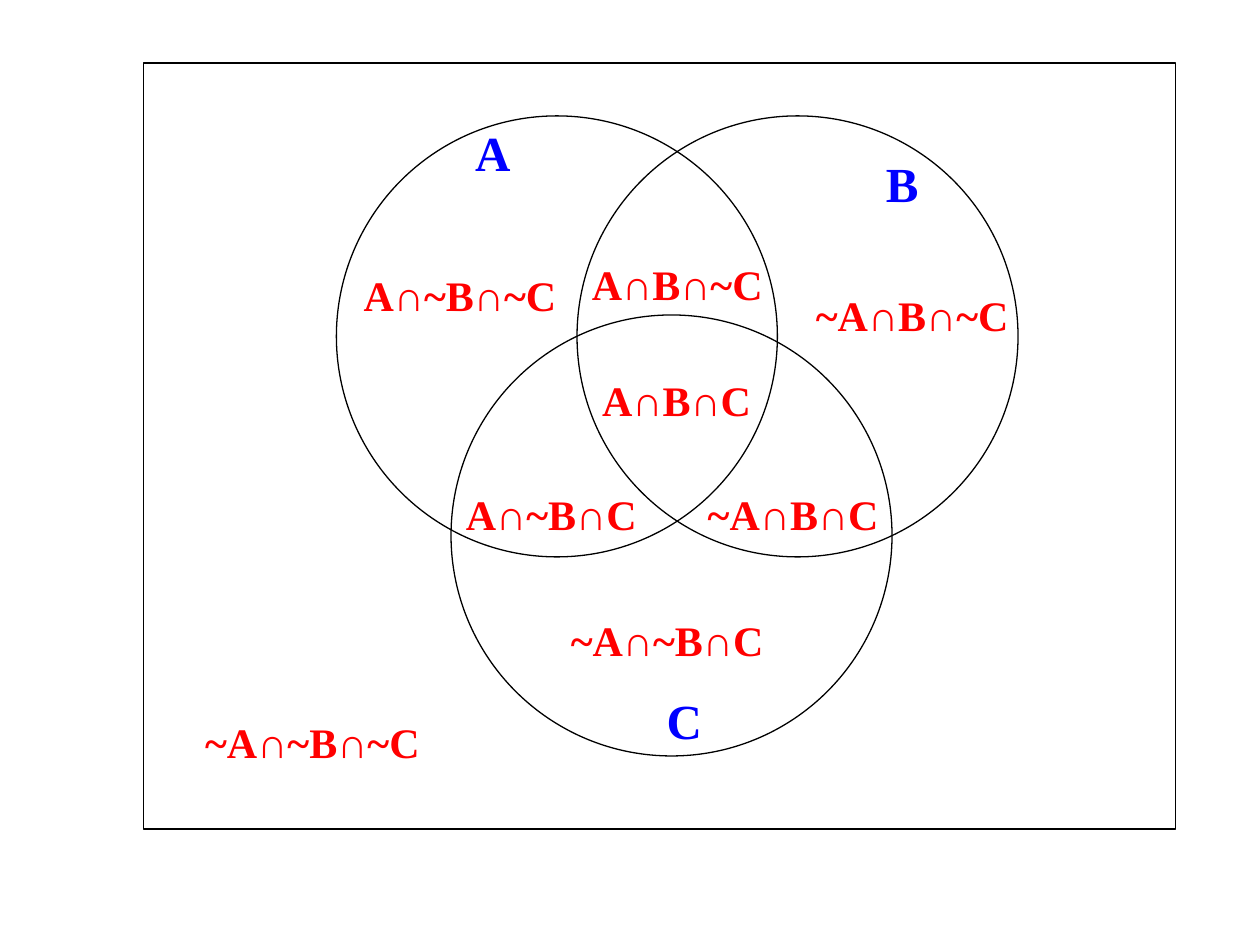
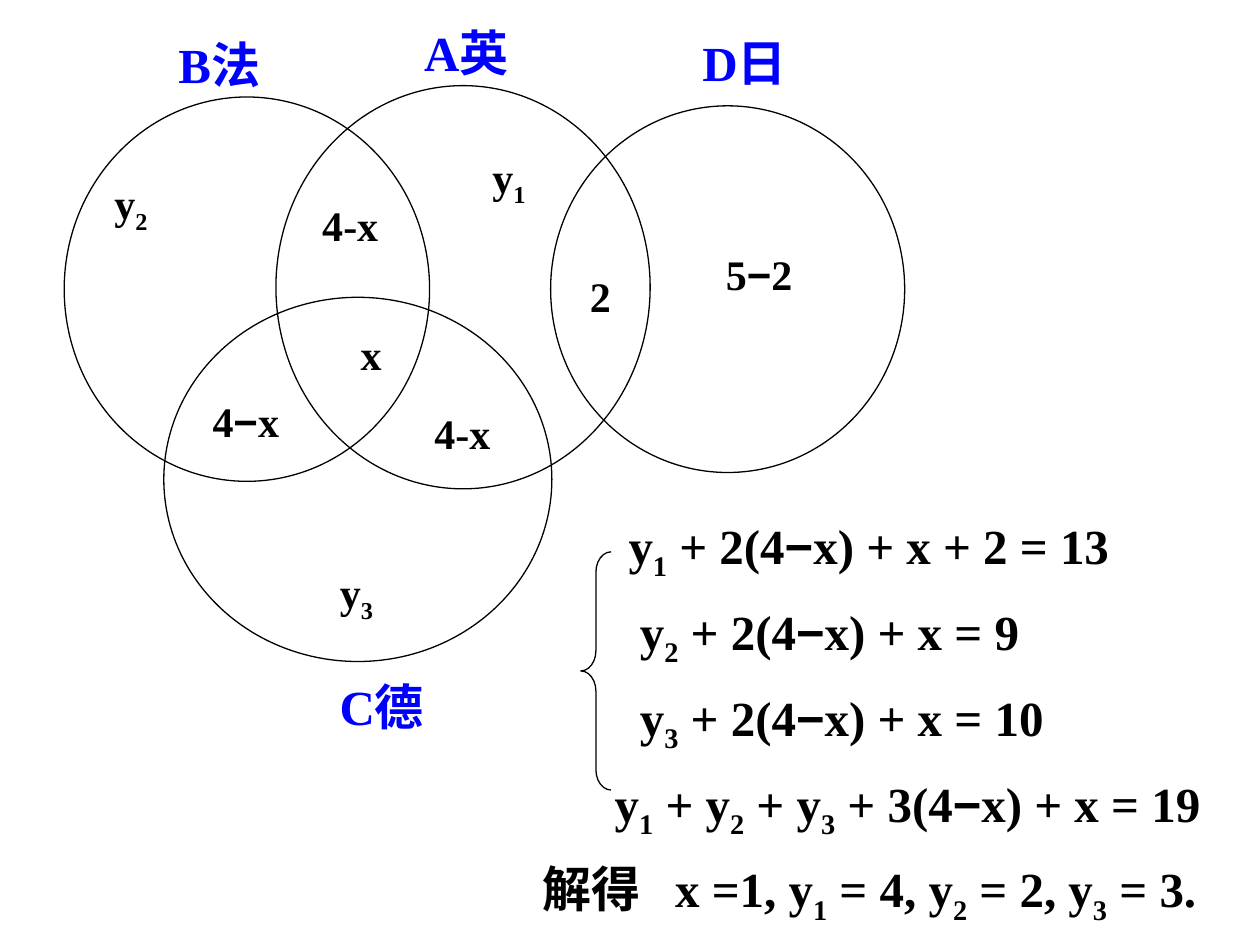
"""Build two Venn diagram slides: the regions of three sets, and a counting problem."""
from dataclasses import dataclass
from itertools import groupby

from lxml.etree import SubElement
from pptx import Presentation
from pptx.dml.color import RGBColor
from pptx.enum.shapes import MSO_SHAPE as Shape
from pptx.enum.text import MSO_ANCHOR as Anchor, MSO_AUTO_SIZE as AutoSize, PP_ALIGN as Align
from pptx.oxml.ns import qn
from pptx.util import Emu, Inches, Pt

BLACK = RGBColor(0x00, 0x00, 0x00)
BLUE = RGBColor(0x00, 0x00, 0xFF)
RED = RGBColor(0xFF, 0x00, 0x00)
SERIF, SANS = "Times New Roman", "Arial"
SLIDE_WIDTH, SLIDE_HEIGHT = Inches(10), Inches(7.5)
COLUMN, ROW = SLIDE_WIDTH // 100, SLIDE_HEIGHT // 75
SUBSCRIPTS, MINUS = "₁₂₃", "−"
DIGITS = str.maketrans(SUBSCRIPTS, "123")


@dataclass(frozen=True)
class Area:
    left: float
    top: float
    width: float
    height: float

    def emu(self) -> tuple[Emu, Emu, Emu, Emu]:
        return (Emu(round(self.left * COLUMN)), Emu(round(self.top * ROW)),
                Emu(round(self.width * COLUMN)), Emu(round(self.height * ROW)))


@dataclass(frozen=True)
class TextStyle:
    size: int
    color: RGBColor
    wrap: bool = True


@dataclass(frozen=True)
class Label:
    text: str
    area: Area
    line_spacing: float = 1.0


@dataclass(frozen=True)
class Equation:
    text: str
    indent: float = 0
    tab: float = 0


SET_NAME = TextStyle(28, BLUE, wrap=False)
REGION = TextStyle(24, RED)
COUNT = TextStyle(24, BLACK)
EQUATION = TextStyle(28, BLACK)

UNIVERSE = Area(11.4, 5, 81.9, 60.8)
DIAMETER = 35
SETS = [Area(left, top, DIAMETER, DIAMETER)
        for left, top in ((26.7, 9.2), (45.8, 9.2), (35.8, 25))]
SET_NAMES = [
    Label("A", Area(36.7, 9.2, 4.8, 5.7)),
    Label("B", Area(69.3, 11.7, 4.6, 5.7)),
    Label("C", Area(51.9, 54.3, 4.8, 5.7)),
]
REGIONS = [
    Label(text, Area(left, top, width, 5))
    for text, left, top, width in (
        ("A∩B∩C", 45.8, 29.2, 15.8),
        ("A∩~B∩C", 35, 38.3, 17.5),
        ("~A∩B∩C", 54.2, 38.3, 17.5),
        ("~A∩~B∩C", 43.3, 48.3, 19.3),
        ("A∩B∩~C", 45, 20, 17.5),
        ("A∩~B∩~C", 26.4, 20.9, 20.2),
        ("~A∩B∩~C", 62.5, 22.5, 19.8),
        ("~A∩~B∩~C", 13, 56.4, 23.6),
    )
]

LANGUAGES = [
    Area(5.1, 7.7, 29, 30.5),
    Area(21.9, 6.8, 29.7, 32),
    Area(13, 23.6, 30.8, 28.9),
    Area(43.7, 8.4, 28.1, 29.1),
]
LANGUAGE_NAMES = [
    Label("A英", Area(32.2, 1.3, 9.6, 5.7)),
    Label("B法", Area(12.7, 2.2, 9.4, 5.7)),
    Label("C德", Area(25.5, 53.2, 9.6, 5.7)),
    Label("D日", Area(54.3, 2.1, 9.6, 5.7)),
]
COUNTS = [
    Label("x", Area(25.8, 27, 7.3, 3.4), 0.6),
    Label("4−x", Area(14.4, 32, 10.2, 3.8), 0.7),
    Label("4-x", Area(32.7, 32.9, 8, 3.8), 0.7),
    Label("4-x", Area(23.1, 16.4, 9.4, 3.8), 0.7),
    Label("2", Area(43.7, 22.4, 7.9, 3.4), 0.6),
    Label("5−2", Area(56.3, 20, 7.9, 4.2), 0.8),
    Label("y₁", Area(35.6, 12.3, 9.6, 4.2), 0.7),
    Label("y₂", Area(5.6, 14.4, 9.6, 4.2), 0.7),
    Label("y₃", Area(22.6, 45.6, 11.4, 3.8), 0.6),
]
SYSTEM_AREA = Area(42.1, 39.9, 55.1, 34.3)
BRACE_AREA = Area(46.1, 43.8, 2.4, 18.9)
SYSTEM = [
    Equation("y₁ + 2(4−x) + x + 2 = 13", indent=6.8),
    Equation("y₂ + 2(4−x) + x = 9", indent=7.7),
    Equation("y₃ + 2(4−x) + x = 10", indent=7.7),
    Equation("y₁ + y₂ + y₃ + 3(4−x) + x = 19", indent=5.7),
    Equation("解得\tx =1, y₁ = 4, y₂ = 2, y₃ = 3.", tab=10.5),
]


def character_kind(character: str) -> str:
    if character in SUBSCRIPTS:
        return "subscript"
    return "minus" if character == MINUS else "plain"


def write_formula(paragraph, text: str, style: TextStyle) -> None:
    font = paragraph.font
    font.name, font.size, font.bold = SERIF, Pt(style.size), True
    font.color.rgb = style.color
    for kind, characters in groupby(text, character_kind):
        run = paragraph.add_run()
        run.text = "".join(characters).translate(DIGITS)
        if kind == "subscript":
            run._r.get_or_add_rPr().set("baseline", "-25000")
        elif kind == "minus":
            run.font.name = SANS


def draw_outline(slide, kind: Shape, area: Area):
    outline = slide.shapes.add_shape(kind, *area.emu())
    outline.shadow.inherit = False
    outline.fill.background()
    outline.line.color.rgb = BLACK
    outline.line.width = Pt(0.75)
    return outline


def draw_labels(slide, labels: list[Label], style: TextStyle) -> None:
    for label in labels:
        frame = slide.shapes.add_textbox(*label.area.emu()).text_frame
        frame.word_wrap = style.wrap
        frame.auto_size = AutoSize.SHAPE_TO_FIT_TEXT
        frame.vertical_anchor = Anchor.MIDDLE
        paragraph = frame.paragraphs[0]
        paragraph.alignment = Align.CENTER
        paragraph.line_spacing = label.line_spacing
        write_formula(paragraph, label.text, style)


def draw_venn(slide, circles: list[Area], names: list[Label],
              regions: list[Label], region_style: TextStyle) -> None:
    for circle in circles:
        draw_outline(slide, Shape.OVAL, circle)
    draw_labels(slide, names, SET_NAME)
    draw_labels(slide, regions, region_style)


def draw_system(slide) -> None:
    frame = slide.shapes.add_textbox(*SYSTEM_AREA.emu()).text_frame
    frame.word_wrap = True
    for index, equation in enumerate(SYSTEM):
        paragraph = frame.add_paragraph() if index else frame.paragraphs[0]
        paragraph.line_spacing = 1.1
        if index:
            paragraph.space_before = Pt(7)
        properties = paragraph._p.get_or_add_pPr()
        properties.set("marL", str(round(equation.indent * COLUMN)))
        if equation.tab:
            stops = SubElement(properties, qn("a:tabLst"))
            SubElement(stops, qn("a:tab"), pos=str(round(equation.tab * COLUMN)), algn="l")
        write_formula(paragraph, equation.text, EQUATION)
    brace = draw_outline(slide, Shape.LEFT_BRACE, BRACE_AREA)
    brace.adjustments[0] = 0.67


def main() -> None:
    deck = Presentation()
    deck.slide_width, deck.slide_height = SLIDE_WIDTH, SLIDE_HEIGHT
    blank = deck.slide_layouts[6]

    regions_slide = deck.slides.add_slide(blank)
    draw_venn(regions_slide, SETS, SET_NAMES, REGIONS, REGION)
    draw_outline(regions_slide, Shape.RECTANGLE, UNIVERSE)

    counting_slide = deck.slides.add_slide(blank)
    draw_venn(counting_slide, LANGUAGES, LANGUAGE_NAMES, COUNTS, COUNT)
    draw_system(counting_slide)

    deck.save("out.pptx")


if __name__ == "__main__":
    main()
